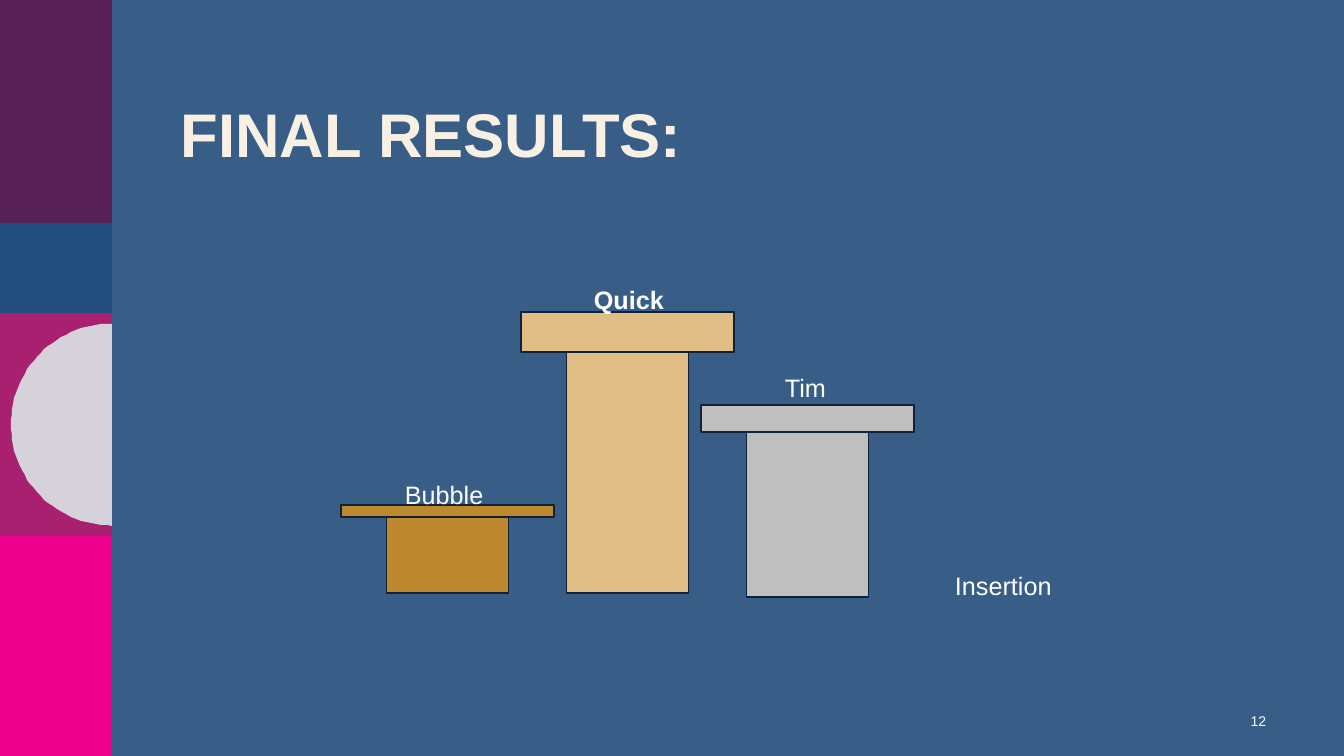
import math
from pptx import Presentation
from pptx import util as u
from pptx.dml.color import RGBColor
from pptx.enum import shapes, text

BACKGROUND = RGBColor(0x38, 0x5E, 0x88)
PINK = RGBColor(0xEC, 0x00, 0x8C)
MAGENTA = RGBColor(0xAA, 0x20, 0x70)
PLUM = RGBColor(0x58, 0x21, 0x56)
BLUE = RGBColor(0x22, 0x4E, 0x7F)
PALE = RGBColor(0xD5, 0xD2, 0xDA)
CREAM = RGBColor(0xF8, 0xF0, 0xE3)
WHITE = RGBColor(0xFF, 0xFF, 0xFF)
GOLD = RGBColor(0xE0, 0xBD, 0x84)
SILVER = RGBColor(0xBF, 0xBF, 0xBF)
BRONZE = RGBColor(0xBE, 0x88, 0x2F)
OUTLINE = RGBColor(0x0F, 0x22, 0x38)

TITLE = "FINAL RESULTS:"
PAGE = "12"
BAND_W = 112
BANDS = [(532, 224, PINK), (313, 223, MAGENTA), (0, 224, PLUM), (223, 90, BLUE)]
DISC_Y, DISC_R = 424.5, 101
PODIUMS = [
    (1, 312, 352, 593, GOLD),
    (2, 405, 432, 597, SILVER),
    (0, 505, 517, 593, BRONZE),
]
FIRST_CAP_X, PITCH = 341, 180
CAP_W, COLUMN_W = 213, 122
LABELS = [
    ("Quick", 584, 279, 93, True),
    ("Tim", 775, 367, 64, False),
    ("Bubble", 395, 474, 105, False),
    ("Insertion", 945, 565, 121, False),
]

SCALE = 914400 / 100.8


def px(n):
    return u.Emu(round(n * SCALE))


def paint(sp, fill, outlined=False):
    sp.shadow.inherit = False
    sp.fill.solid()
    sp.fill.fore_color.rgb = fill
    if outlined:
        sp.line.color.rgb = OUTLINE
        sp.line.width = u.Pt(1)
    else:
        sp.line.fill.background()


def add_rect(s, x, y, w, h, fill, outlined=False):
    sp = s.shapes.add_shape(shapes.MSO_SHAPE.RECTANGLE, px(x), px(y), px(w), px(h))
    paint(sp, fill, outlined)


def add_text(s, words, x, y, w, h, size, color=WHITE, bold=False, wrap=True):
    tf = s.shapes.add_textbox(px(x), px(y), px(w), px(h)).text_frame
    tf.word_wrap = wrap
    p = tf.paragraphs[0]
    r = p.add_run()
    r.text = words
    r.font.name = "Arial"
    r.font.size = u.Pt(size)
    r.font.bold = bold
    r.font.color.rgb = color
    return tf


def add_half_disc(s):
    angles = [math.radians(a) for a in range(90, 271, 3)]
    points = [(BAND_W + DISC_R * math.cos(a), DISC_Y + DISC_R * math.sin(a)) for a in angles]
    outline = s.shapes.build_freeform(*points[0], scale=SCALE)
    outline.add_line_segments(points[1:], close=True)
    paint(outline.convert_to_shape(), PALE)


def main():
    prs = Presentation()
    prs.slide_width, prs.slide_height = px(1344), px(756)
    s = prs.slides.add_slide(prs.slide_layouts[6])
    s.background.fill.solid()
    s.background.fill.fore_color.rgb = BACKGROUND

    for y, h, color in BANDS:
        add_rect(s, 0, y, BAND_W, h, color)
    add_half_disc(s)

    tf = add_text(s, TITLE, 171, 99, 1088, 150, 44, CREAM, True)
    tf.paragraphs[0].line_spacing = 0.9
    tf = add_text(s, PAGE, 1226, 701, 50, 40, 10)
    tf.vertical_anchor = text.MSO_ANCHOR.MIDDLE
    tf.paragraphs[0].alignment = text.PP_ALIGN.RIGHT

    for place, cap_y, column_y, base_y, color in PODIUMS:
        cap_x = FIRST_CAP_X + place * PITCH
        column_x = cap_x + (CAP_W - COLUMN_W) / 2
        add_rect(s, column_x, column_y, COLUMN_W, base_y - column_y, color, True)
        add_rect(s, cap_x, cap_y, CAP_W, column_y - cap_y, color, True)

    for words, x, y, w, bold in LABELS:
        tf = add_text(s, words, x, y, w, 40, 18, bold=bold, wrap=False)
        tf.auto_size = text.MSO_AUTO_SIZE.SHAPE_TO_FIT_TEXT

    prs.save("out.pptx")


if __name__ == "__main__":
    main()
